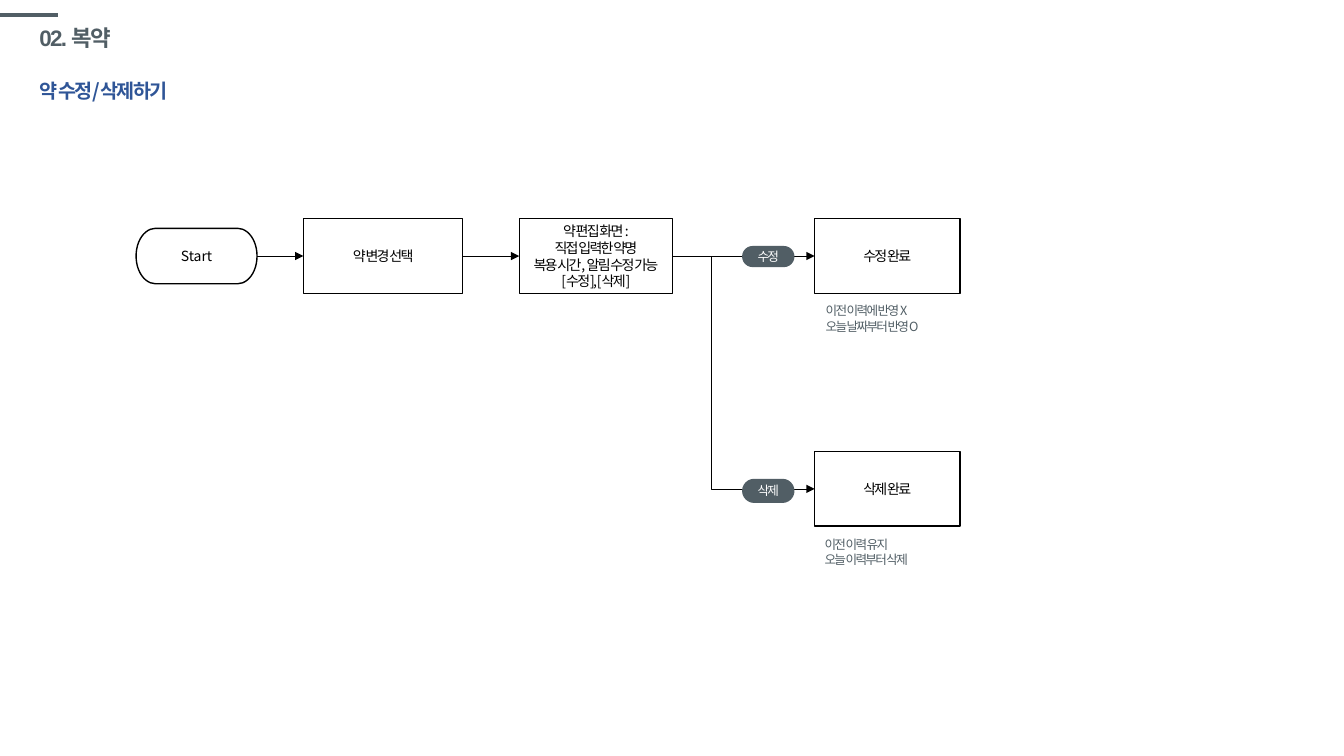
from lxml import etree
from pptx import Presentation
from pptx.dml.color import RGBColor
from pptx.enum.shapes import MSO_CONNECTOR as CONNECTOR, MSO_SHAPE as SHAPE
from pptx.enum.text import MSO_ANCHOR as ANCHOR, MSO_AUTO_SIZE as AUTO_SIZE, PP_ALIGN as ALIGN
from pptx.oxml.ns import qn
from pptx.util import Inches, Pt

COLORS = {"slate": "515E65", "blue": "2F5597", "black": "000000", "white": "FFFFFF"}
KOREAN_FONT = "Noto Sans CJK KR"
TIGHT = -1.2
LEFT, RIGHT = 1, 3
MAIN_ROW, DELETE_ROW = 2.54, 4.85
BOX_HEIGHT = 0.74


def rgb(name):
    return RGBColor.from_string(COLORS[name])


def write(frame, lines, size, color, font=KOREAN_FONT, bold=False, spacing=TIGHT,
          align=ALIGN.LEFT, line_spacing=None):
    """Fill a text frame with one paragraph per line; spacing is in points."""
    for index, line in enumerate(lines):
        paragraph = frame.add_paragraph() if index else frame.paragraphs[0]
        paragraph.alignment = align
        if line_spacing:
            paragraph.line_spacing = line_spacing
        run = paragraph.add_run()
        run.text = line
        run.font.size = Pt(size)
        run.font.bold = bold
        run.font.name = font
        run.font.color.rgb = rgb(color)
        properties = run.font._element
        if spacing:
            properties.set("spc", str(round(spacing * 100)))
        east_asian = etree.Element(qn("a:ea"), typeface=KOREAN_FONT)
        properties.find(qn("a:latin")).addnext(east_asian)


def add_title(slide, text):
    title = slide.shapes.title
    title.left, title.top = Inches(0.29), Inches(0.19)
    title.width, title.height = Inches(11.5), Inches(0.39)
    title.text_frame.vertical_anchor = ANCHOR.MIDDLE
    write(title.text_frame, [text], 16, "slate", font="Arial", bold=True, line_spacing=0.9)


def add_subtitle(slide, text):
    box = slide.shapes.add_textbox(Inches(0.29), Inches(0.62), Inches(2.88), Inches(0.41))
    box.text_frame.word_wrap = True
    write(box.text_frame, [text], 14, "blue", bold=True, line_spacing=1.5)


def add_filled_shape(slide, kind, left, top, width, height, fill):
    shape = slide.shapes.add_shape(kind, Inches(left), Inches(top), Inches(width), Inches(height))
    shape.shadow.inherit = False
    shape.fill.solid()
    shape.fill.fore_color.rgb = rgb(fill)
    shape.line.fill.background()
    return shape


def add_step(slide, left, middle, width, lines, kind=SHAPE.FLOWCHART_PROCESS,
             height=BOX_HEIGHT, spacing=TIGHT):
    step = add_filled_shape(slide, kind, left, middle - height / 2, width, height, "white")
    step.line.color.rgb = rgb("black")
    step.line.width = Pt(1)
    step.text_frame.word_wrap = False
    step.text_frame.vertical_anchor = ANCHOR.MIDDLE
    write(step.text_frame, lines, 10, "black", spacing=spacing, align=ALIGN.CENTER)
    return step


def add_pill(slide, top, height, text):
    pill = add_filled_shape(slide, SHAPE.ROUNDED_RECTANGLE, 7.36, top, 0.52, height, "slate")
    pill.adjustments[0] = 0.5
    pill.text_frame.vertical_anchor = ANCHOR.MIDDLE
    write(pill.text_frame, [text], 9, "white", align=ALIGN.CENTER)


def add_note(slide, left, top, width, lines):
    note = add_filled_shape(slide, SHAPE.RECTANGLE, left, top, width, 0.4, "white")
    note.text_frame.vertical_anchor = ANCHOR.TOP
    note.text_frame.auto_size = AUTO_SIZE.SHAPE_TO_FIT_TEXT
    write(note.text_frame, lines, 9, "slate")


def add_line(slide, kind, start, end, color, weight):
    line = slide.shapes.add_connector(kind, *(Inches(value) for value in (*start, *end)))
    line.line.color.rgb = rgb(color)
    line.line.width = Pt(weight)
    etree.SubElement(line._element.spPr, qn("a:effectLst"))
    return line


def add_arrow(slide, source, target, bend=None):
    """Join two steps side to side; bend is the share of the width before the turn."""
    kind = CONNECTOR.STRAIGHT if bend is None else CONNECTOR.ELBOW
    arrow = add_line(slide, kind, (0, 0), (1, 1), "black", 0.5)
    arrow.begin_connect(source, RIGHT)
    arrow.end_connect(target, LEFT)
    etree.SubElement(arrow.line._get_or_add_ln(), qn("a:tailEnd"), type="triangle")
    if bend is not None:
        geometry = arrow._element.spPr.find(qn("a:prstGeom"))
        guides = geometry.find(qn("a:avLst"))
        if guides is None:
            guides = etree.SubElement(geometry, qn("a:avLst"))
        etree.SubElement(guides, qn("a:gd"), name="adj1", fmla=f"val {round(bend * 100000)}")


def main():
    presentation = Presentation()
    presentation.slide_width, presentation.slide_height = Inches(13.33), Inches(7.5)
    slide = presentation.slides.add_slide(presentation.slide_layouts[5])

    add_line(slide, CONNECTOR.STRAIGHT, (0, 0.15), (0.58, 0.15), "slate", 3)
    add_title(slide, "02. 복약")
    add_subtitle(slide, "약 수정/삭제하기")

    start = add_step(slide, 1.35, MAIN_ROW, 1.2, ["Start"],
                     kind=SHAPE.FLOWCHART_TERMINATOR, height=0.55, spacing=0)
    choose = add_step(slide, 3.01, MAIN_ROW, 1.58, ["약 변경 선택"])
    edit = add_step(slide, 5.15, MAIN_ROW, 1.52, [
        "약 편집 화면 :", "직접 입력한 약명", "복용 시간, 알림 수정 가능", "[수정], [삭제]"])
    edited = add_step(slide, 8.08, MAIN_ROW, 1.44, ["수정 완료"])
    deleted = add_step(slide, 8.08, DELETE_ROW, 1.44, ["삭제 완료"])

    add_note(slide, 8.09, 2.96, 1.55, ["이전 이력에 반영 X", "오늘 날짜부터 반영O"])
    add_note(slide, 8.08, 5.28, 1.33, ["이전 이력 유지", "오늘 이력부터 삭제"])

    for source, target in ((start, choose), (choose, edit), (edit, edited)):
        add_arrow(slide, source, target)
    add_arrow(slide, edit, deleted, bend=0.27)

    add_pill(slide, 2.44, 0.21, "수정")
    add_pill(slide, 4.75, 0.24, "삭제")

    presentation.save("out.pptx")


if __name__ == "__main__":
    main()
